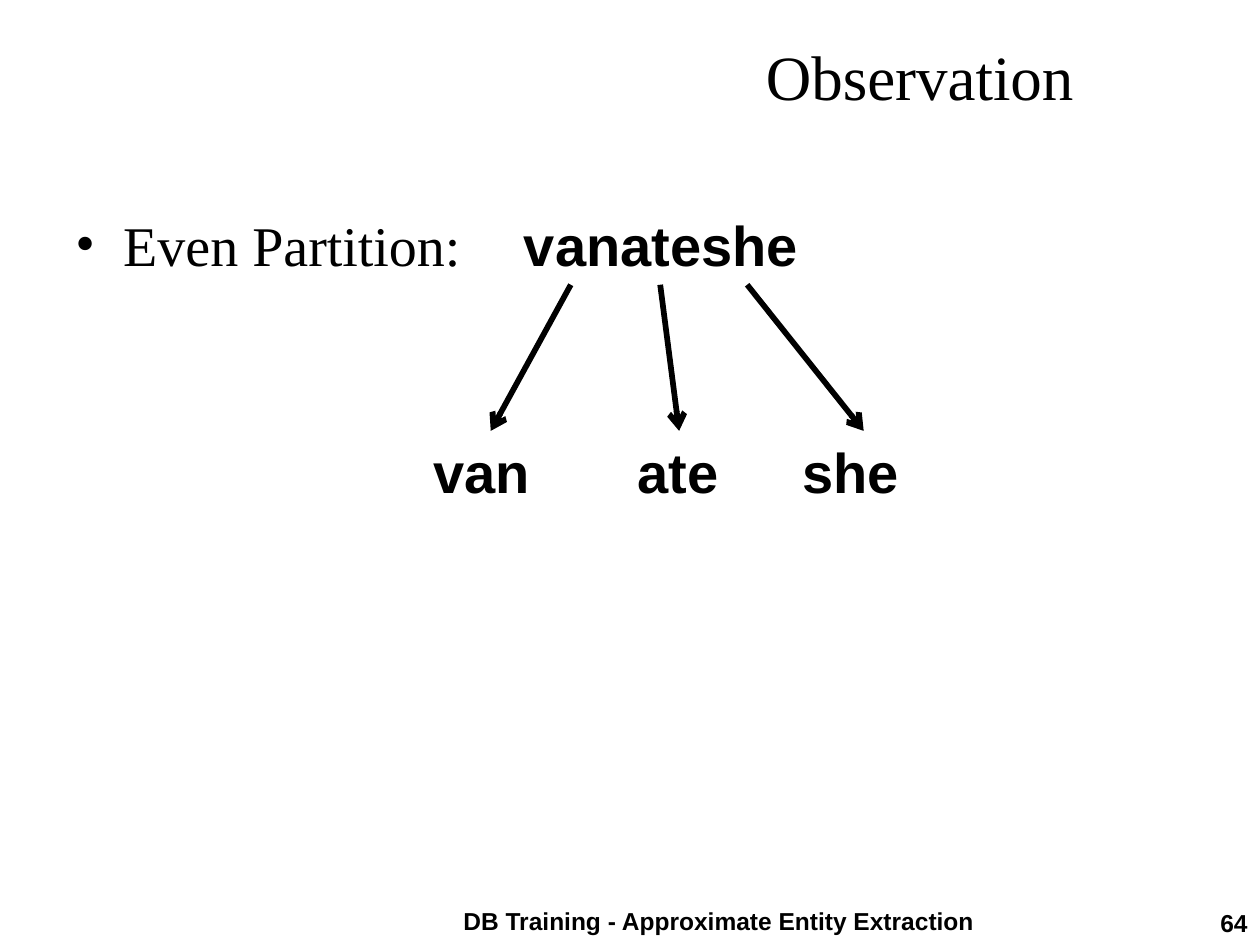
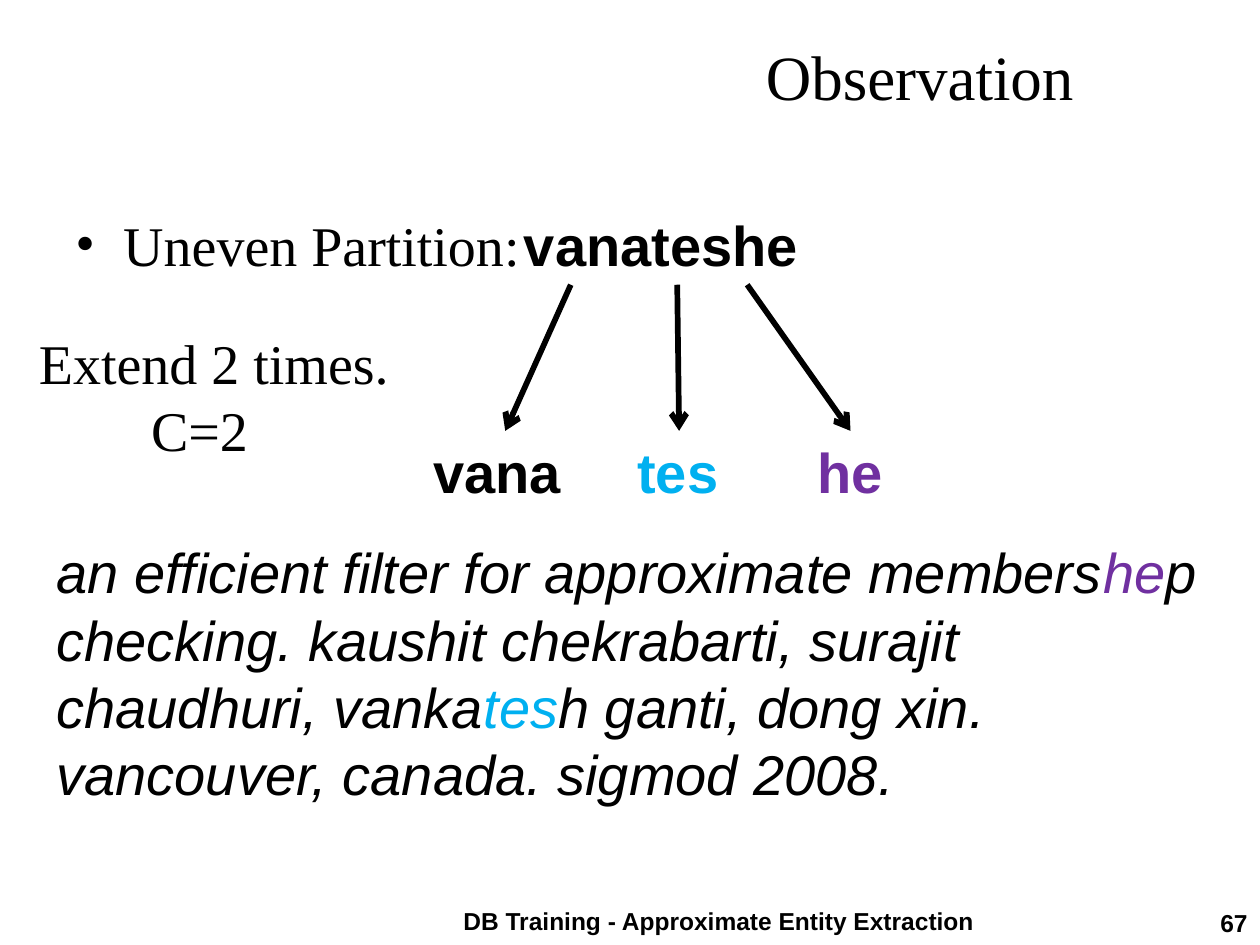
import pptx
import pptx.util
import pptx.dml.color
import pptx.enum.shapes
import pptx.enum.text
import lxml.etree

RGB = pptx.dml.color.RGBColor
ALIGN = pptx.enum.text.PP_ALIGN
ANCHOR = pptx.enum.text.MSO_ANCHOR
FIT = pptx.enum.text.MSO_AUTO_SIZE
LINE = pptx.enum.shapes.MSO_CONNECTOR.STRAIGHT

BLACK = RGB(0x00, 0x00, 0x00)
BLUE = RGB(0x00, 0xB0, 0xF0)
PURPLE = RGB(0x70, 0x30, 0xA0)
SERIF, SANS = "Times New Roman", "Arial"

WIDE, HIGH = pptx.util.Inches(10), pptx.util.Inches(7.5)
COLS = 100
UNIT = WIDE / COLS

HEAD = (5, 0, 81.2, 11.9)
LIST = (5, 16.2, 90, 48)
FOOT = (35, 71.4, 65, 3.6)
TREE = (33.4, 16.2, 41, 24.4)
NOTE = (2.1, 25.6, 29.8, 11.7)
QUOTE = (3.5, 42.2, 93.3, 22.4)


def grid(count):
    """Turn grid units into a slide length."""
    return pptx.util.Emu(round(count * UNIT))


def write(slide, box, lines, font=SANS, size=32, bold=False, slant=False,
          align=ALIGN.LEFT, wrap=True, fit=FIT.NONE):
    """Add a text box whose lines are lists of (text, colour) runs."""
    shape = slide.shapes.add_textbox(*map(grid, box))
    frame = shape.text_frame
    frame.word_wrap = wrap
    frame.auto_size = fit
    for place, line in enumerate(lines):
        para = frame.add_paragraph() if place else frame.paragraphs[0]
        para.alignment = align
        for text, tint in line:
            run = para.add_run()
            run.text = text
            run.font.name, run.font.size = font, pptx.util.Pt(size)
            run.font.bold, run.font.italic = bold, slant
            run.font.color.rgb = tint
    return shape


def indent(para, left, first=0):
    """Indent a paragraph by grid units and return its properties."""
    props = para._p.get_or_add_pPr()
    props.set("marL", str(grid(left)))
    props.set("indent", str(grid(first)))
    return props


def tag(parent, name, **attrs):
    """Append a drawing element to a parent element."""
    space = pptx.oxml.ns.nsdecls("a").split('"')[1]
    return lxml.etree.SubElement(parent, f"{{{space}}}{name}", attrs)


def head(slide, box, text):
    """Set the slide title, right aligned in its band."""
    shape = write(slide, box, [[(text, BLACK)]], SERIF, 36, align=ALIGN.RIGHT)
    shape.text_frame.vertical_anchor = ANCHOR.MIDDLE


def point(slide, box, text):
    """Set one bulleted point."""
    shape = write(slide, box, [[(text, BLACK)]], SERIF)
    props = indent(shape.text_frame.paragraphs[0], 3.8, -3.8)
    tag(props, "buFont", typeface=SERIF)
    tag(props, "buChar", char="•")


def foot(slide, box, page):
    """Set the footer title and page number in the bottom band."""
    left, top, wide, high = box
    for text, start, span, align in (
            ("DB Training - Approximate Entity Extraction", 0, 44.1, ALIGN.CENTER),
            (page, 48.9, wide - 48.9, ALIGN.RIGHT)):
        drop = 0.2 if start else 0
        write(slide, (left + start, top + drop, span, high - drop),
              [[(text, BLACK)]], size=14, bold=True, align=align)


def arrow(slide, word, leaf, start):
    """Draw an arrow from the word, at a start or its middle, to a leaf."""
    line = slide.shapes.add_connector(
        LINE, grid(start or 0), word.top + word.height, leaf.left, leaf.top)
    if start is None:
        line.begin_connect(word, 2)
    line.end_connect(leaf, 0)
    line.line.color.rgb = BLACK
    line.line.width = pptx.util.Pt(3.25)
    tag(line.line._get_or_add_ln(), "tailEnd", type="arrow")
    tag(line._element.spPr, "effectLst")


def tree(slide, box, leaves):
    """Split the word into leaves of (text, colour, width, arrow start, indent)."""
    left, top, _, high = box
    row = 6.4
    word = write(slide, (left + 7.2, top, 26.3, row), [[("vanateshe", BLACK)]],
                 bold=True, fit=FIT.SHAPE_TO_FIT_TEXT)
    for (text, tint, span, start, inset), col in zip(leaves, (0, 16.2, 29.3)):
        leaf = write(slide, (left + col, top + high - row, span, row),
                     [[(text, tint)]], bold=True, fit=FIT.SHAPE_TO_FIT_TEXT)
        if inset:
            indent(leaf.text_frame.paragraphs[0], inset)
        arrow(slide, word, leaf, None if start is None else left + start)


def note(slide, box):
    """Set the note beside the tree, its second line indented."""
    shape = write(slide, box, [[("Extend 2 times.", BLACK)], [("C=2", BLACK)]],
                  SERIF, wrap=False, fit=FIT.SHAPE_TO_FIT_TEXT)
    indent(shape.text_frame.paragraphs[1], 8.9)


def quote(slide, box):
    """Set the sample text with its matched parts in colour."""
    write(slide, box, [
        [("an efficient filter for approximate members", BLACK),
         ("he", PURPLE), ("p", BLACK)],
        [("checking. kaushit chekrabarti, surajit chaudhuri, vanka", BLACK),
         ("tes", BLUE),
         ("h ganti, dong xin. vancouver, canada. sigmod 2008.", BLACK)],
    ], slant=True, fit=FIT.SHAPE_TO_FIT_TEXT)


def base(deck, text, page, leaves):
    """Add a slide with title, point, footer and tree."""
    slide = deck.slides.add_slide(deck.slide_layouts[6])
    head(slide, HEAD, "Observation")
    point(slide, LIST, text)
    foot(slide, FOOT, page)
    tree(slide, TREE, leaves)
    return slide


def main():
    """Build and save the deck."""
    deck = pptx.Presentation()
    deck.slide_width, deck.slide_height = WIDE, HIGH
    base(deck, "Even Partition:", "64", [
        ("van", BLACK, 11.1, 11.9, 0),
        ("ate", BLACK, 8.6, 19, 0),
        ("she", BLACK, 11.7, 25.9, 0)])
    slide = base(deck, "Uneven Partition:", "67", [
        ("vana", BLACK, 13.4, 11.9, 0),
        ("tes", BLUE, 8.6, None, 0),
        ("he", PURPLE, 9.6, 25.9, 1.2)])
    quote(slide, QUOTE)
    note(slide, NOTE)
    deck.save("out.pptx")


if __name__ == "__main__":
    main()
